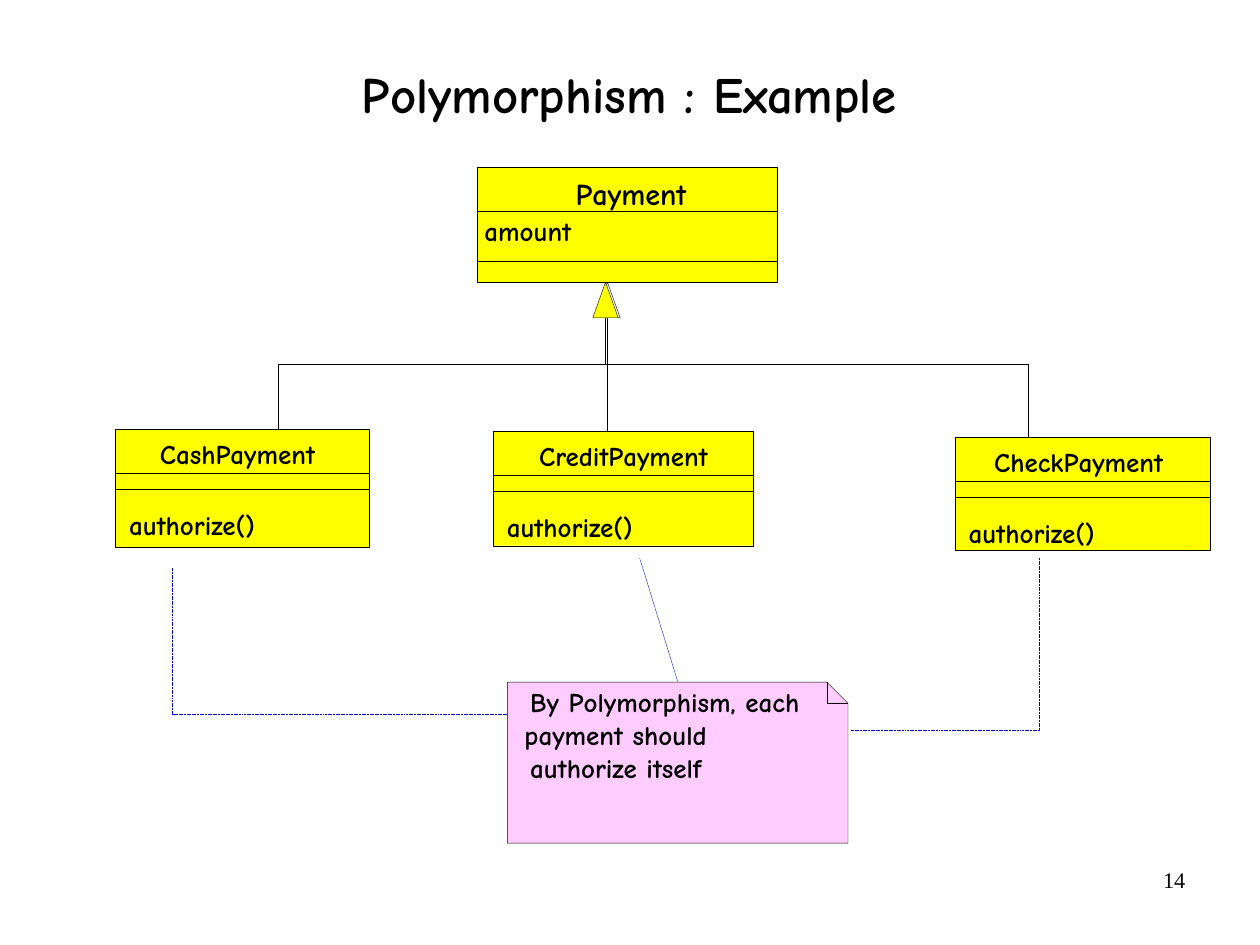
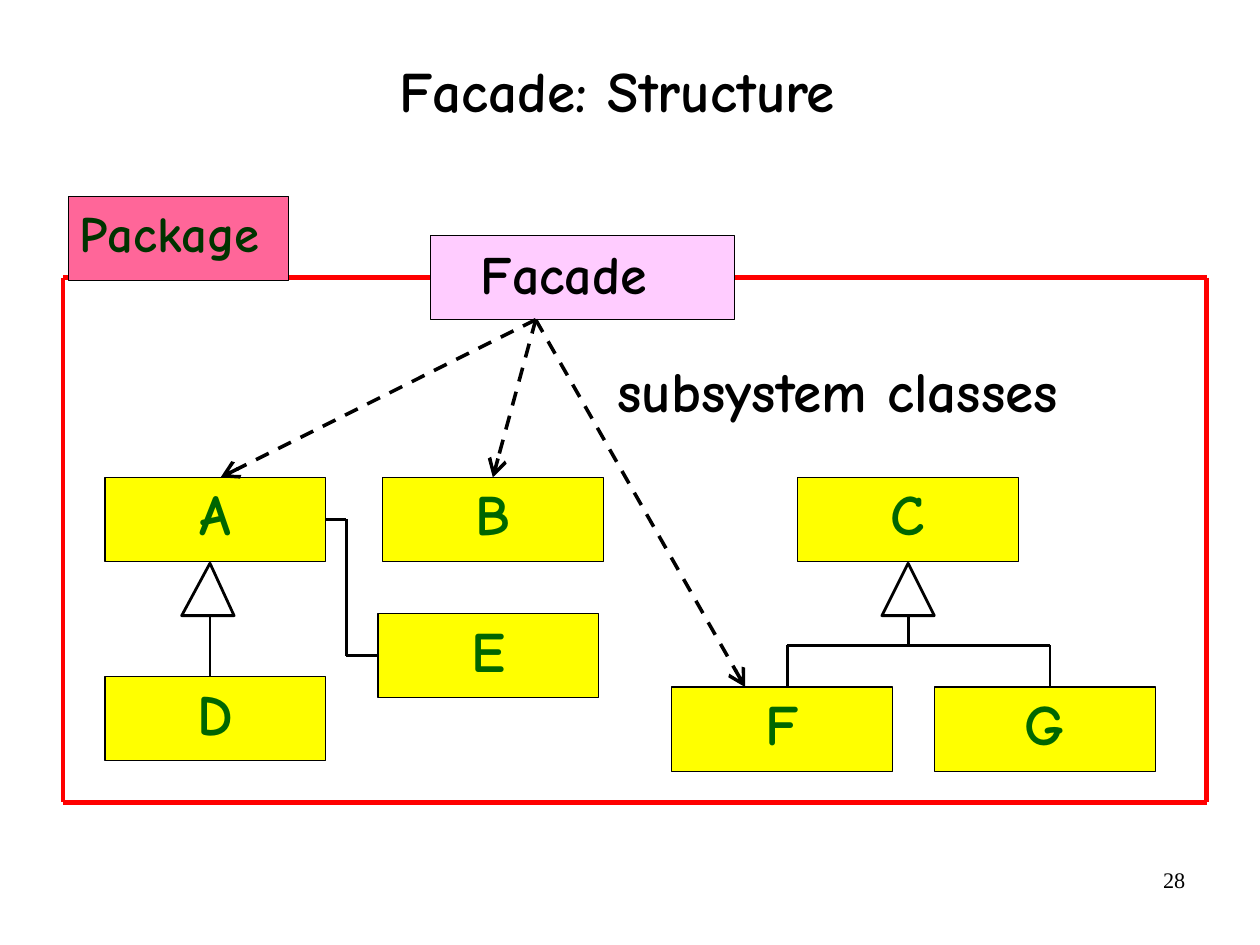
from typing import NamedTuple

from lxml import etree
from pptx import Presentation
from pptx.dml.color import RGBColor
from pptx.enum.dml import MSO_LINE
from pptx.enum.shapes import MSO_CONNECTOR, MSO_SHAPE
from pptx.enum.text import MSO_ANCHOR, PP_ALIGN
from pptx.oxml.ns import qn
from pptx.util import Pt

RECTANGLE = MSO_SHAPE.RECTANGLE
TRIANGLE = MSO_SHAPE.ISOSCELES_TRIANGLE
STRAIGHT = MSO_CONNECTOR.STRAIGHT
DASH, SHORT_DASH = MSO_LINE.DASH, MSO_LINE.SQUARE_DOT
LEFT, CENTER, RIGHT = PP_ALIGN.LEFT, PP_ALIGN.CENTER, PP_ALIGN.RIGHT
TOP, MIDDLE = MSO_ANCHOR.TOP, MSO_ANCHOR.MIDDLE
SIDE_TOP, SIDE_LEFT, SIDE_RIGHT = 0, 1, 3

BLACK = RGBColor(0x00, 0x00, 0x00)
WHITE = RGBColor(0xFF, 0xFF, 0xFF)
YELLOW = RGBColor(0xFF, 0xFF, 0x00)
PINK = RGBColor(0xFF, 0xCC, 0xFF)
ROSE = RGBColor(0xFF, 0x66, 0x99)
RED = RGBColor(0xFF, 0x00, 0x00)
BLUE = RGBColor(0x00, 0x00, 0xCC)
GREEN = RGBColor(0x00, 0x66, 0x00)
DARK_GREEN = RGBColor(0x00, 0x33, 0x00)

BODY_FONT = "Comic Neue"
NUMBER_FONT = "Times New Roman"
SLIDE_WIDTH, SLIDE_HEIGHT = Pt(793.75), Pt(595.25)
HAIRLINE = 0.25
UML_LINE = 1.75
MEMBER_SIZE = 17


class Side(NamedTuple):
    """The middle of one side of a rectangle."""
    shape: object
    site: int


# Text
def add_run(paragraph, text, size, color=BLACK, font=BODY_FONT, bold=True):
    run = paragraph.add_run()
    run.text = text
    run.font.name = font
    run.font.size = Pt(size)
    run.font.bold = bold
    run.font.color.rgb = color


def set_frame(frame, anchor, margins):
    frame.word_wrap = True
    frame.vertical_anchor = anchor
    left, top, right, bottom = margins
    frame.margin_left, frame.margin_top = Pt(left), Pt(top)
    frame.margin_right, frame.margin_bottom = Pt(right), Pt(bottom)


def add_label(slide, box, text, size, align=LEFT, anchor=TOP, spacing=1.0,
              margins=(0, 0, 0, 0), **run_style):
    label = slide.shapes.add_textbox(*map(Pt, box))
    set_frame(label.text_frame, anchor, margins)
    paragraph = label.text_frame.paragraphs[0]
    paragraph.alignment = align
    paragraph.line_spacing = spacing
    add_run(paragraph, text, size, **run_style)


# Shapes and lines
def style_shape(shape, fill, width, color=BLACK):
    shape.shadow.inherit = False
    if fill is None:
        shape.fill.background()
    else:
        shape.fill.solid()
        shape.fill.fore_color.rgb = fill
    shape.line.color.rgb = color
    shape.line.width = Pt(width)


def add_figure(slide, kind, box, fill, width):
    figure = slide.shapes.add_shape(kind, *map(Pt, box))
    style_shape(figure, fill, width)
    return figure


def add_outline(slide, points, fill=None, color=BLACK, close=False):
    corners = [(Pt(x), Pt(y)) for x, y in points]
    builder = slide.shapes.build_freeform(*corners[0])
    builder.add_line_segments(corners[1:], close=close)
    outline = builder.convert_to_shape()
    style_shape(outline, fill, HAIRLINE, color)
    return outline


def add_line(slide, start, end, width=HAIRLINE, color=BLACK, dash=None, arrow=False):
    """Each end is a point or a Side to join."""
    (x1, y1), (x2, y2) = ((0, 0) if isinstance(e, Side) else e for e in (start, end))
    connector = slide.shapes.add_connector(STRAIGHT, Pt(x1), Pt(y1), Pt(x2), Pt(y2))
    if isinstance(start, Side):
        connector.begin_connect(start.shape, start.site)
    if isinstance(end, Side):
        connector.end_connect(end.shape, end.site)
    connector.line.color.rgb = color
    connector.line.width = Pt(width)
    if dash is not None:
        connector.line.dash_style = dash
    properties = connector._element.spPr
    if arrow:
        etree.SubElement(properties.find(qn("a:ln")), qn("a:tailEnd"),
                         type="arrow", w="lg", len="lg")
    etree.SubElement(properties, qn("a:effectLst"))


# Parts shared by the slides
def add_slide(deck, number, title, title_box, title_size):
    slide = deck.slides.add_slide(deck.slide_layouts[6])
    add_label(slide, (568.8, 542, 185, 41), number, 14, align=RIGHT,
              margins=(7.2, 3.6, 7.2, 3.6), font=NUMBER_FONT, bold=False)
    add_label(slide, title_box, title, title_size, align=CENTER, anchor=MIDDLE,
              spacing=0.88)
    return slide


# Class diagram parts
def add_class(slide, box, name, name_indent, member, member_offset=(8.6, 50),
              dividers=(27.4, 37.4), name_size=MEMBER_SIZE):
    left, top, width, _ = box
    add_figure(slide, RECTANGLE, box, YELLOW, HAIRLINE)
    add_label(slide, (left + name_indent, top + 5, width - name_indent, 20.2),
              name, name_size)
    for offset in dividers:
        add_line(slide, (left, top + offset), (left + width, top + offset))
    indent, drop = member_offset
    add_label(slide, (left + indent, top + drop, width - indent, 20.2),
              member, MEMBER_SIZE)


def add_note(slide, left, top, width, height, lines):
    right, bottom, fold = left + width, top + height, 13.3
    note = add_outline(slide, [(left, top), (right - fold, top), (right, top + fold),
                               (right, bottom), (left, bottom)], PINK, close=True)
    add_outline(slide, [(right - fold, top), (right - fold, top + fold),
                        (right, top + fold)])
    frame = note.text_frame
    set_frame(frame, TOP, (10.8, 1.5, 0, 0))
    for index, (text, indent) in enumerate(lines):
        paragraph = frame.add_paragraph() if index else frame.paragraphs[0]
        paragraph._p.get_or_add_pPr().set("marL", str(Pt(indent)))
        paragraph.alignment = LEFT
        paragraph.line_spacing = Pt(20.9)
        add_run(paragraph, text, MEMBER_SIZE)


def add_block(slide, left, top, text, fill=YELLOW, width=139, size=36, color=GREEN,
              align=CENTER, anchor=MIDDLE, spacing=0.8, margins=(7.2, 3.6, 7.2, 3.6)):
    block = add_figure(slide, RECTANGLE, (left, top, width, 53), fill, 0.75)
    set_frame(block.text_frame, anchor, margins)
    paragraph = block.text_frame.paragraphs[0]
    paragraph.alignment = align
    paragraph.line_spacing = spacing
    add_run(paragraph, text, size, color)
    return block


def build_polymorphism(deck):
    slide = add_slide(deck, "14", "Polymorphism : Example", (58.3, 28.1, 676.8, 66.2), 32)

    # Payment and its three kinds
    for box, name, indent in (((310.7, 271.8, 164, 72), "CreditPayment", 29),
                              ((601.7, 275.5, 161, 71), "CheckPayment", 24.5),
                              ((72.7, 270.5, 160, 74), "CashPayment", 28)):
        add_class(slide, box, name, indent, "authorize()")
    add_class(slide, (300.7, 105.6, 188.8, 72.2), "Payment", 62, "amount",
              member_offset=(4.5, 29.7), dividers=(27.4, 58.7), name_size=19)

    # Note and its links to the three kinds
    add_note(slide, 319.6, 429.7, 214.6, 101.4,
             [("By Polymorphism, each", 3.6), ("payment should", 0),
              ("authorize itself", 3.6)])
    for corners in ([(536.4, 460), (655, 460), (655, 351.5)],
                    [(108.7, 358), (108.7, 450), (319.6, 450)]):
        link = add_outline(slide, corners, color=BLUE)
        link.line.dash_style = SHORT_DASH
    add_line(slide, (403, 351.5), (427, 429.5), color=BLUE, dash=SHORT_DASH)

    # Inheritance tree
    parent_y, bus_y, cash_x, check_x = 177.8, 229.6, 175, 648
    for stem_x, stem_bottom, fill in ((382.7, 271.4, WHITE), (381.5, bus_y, YELLOW)):
        add_line(slide, (stem_x, stem_bottom), (stem_x, parent_y))
        add_figure(slide, TRIANGLE, (stem_x - 8, parent_y, 16, 22.4), fill, HAIRLINE)
    add_line(slide, (cash_x, bus_y), (check_x, bus_y))
    add_line(slide, (check_x, 275.5), (check_x, bus_y))
    add_line(slide, (cash_x, 270.5), (cash_x, bus_y))


def build_facade(deck):
    slide = add_slide(deck, "28", "Facade: Structure", (50.6, 10.1, 676.8, 98.6), 36)

    # Facade and subsystem classes
    facade = add_block(slide, 271.2, 148.4, "Facade", PINK, width=191.6, size=34,
                       color=BLACK, align=LEFT, anchor=TOP, spacing=1.0,
                       margins=(31.7, 3.2, 0, 0))
    places = {"A": (66.2, 300.7), "B": (241, 300.7), "E": (238.2, 386.5),
              "D": (66.2, 426.2), "C": (502.4, 300.7), "F": (423.2, 432.8),
              "G": (588.8, 432.8)}
    blocks = {name: add_block(slide, *place, name) for name, place in places.items()}

    # F and G inherit from C, D from A
    add_figure(slide, TRIANGLE, (555.6, 354.8, 33, 33), None, UML_LINE)
    stem_x, bus_y, f_x, g_x, leaf_y = 572.1, 406.6, 496, 661.5, 432.8
    a_triangle = add_figure(slide, TRIANGLE, (114.5, 354.8, 33, 33), None, UML_LINE)
    a_triangle.adjustments[0] = 0.54
    for start, end in (((stem_x, 388), (stem_x, bus_y)), ((f_x, bus_y), (g_x, bus_y)),
                       ((f_x, bus_y), (f_x, leaf_y)), ((g_x, bus_y), (g_x, leaf_y)),
                       ((132.3, 387), (132.3, 426))):
        add_line(slide, start, end, UML_LINE)

    # A is linked with E
    upper, lower = (218.2, 327.2), (218.2, 413)
    add_line(slide, Side(blocks["A"], SIDE_RIGHT), upper, UML_LINE)
    add_line(slide, upper, lower, UML_LINE)
    add_line(slide, lower, Side(blocks["E"], SIDE_LEFT), UML_LINE)

    # Facade calls A, B and F
    for target in ((139, 300.7), Side(blocks["B"], SIDE_TOP), (469.4, leaf_y)):
        add_line(slide, (337.5, 201.4), target, 2.25, dash=DASH, arrow=True)

    # Package frame and tab
    left, top, right, bottom = 39.7, 174.9, 760.3, 505.4
    for start, end in ((Side(facade, SIDE_LEFT), (left, top)),
                       (Side(facade, SIDE_RIGHT), (right, top)),
                       ((left, top), (left, bottom)), ((right, top), (right, bottom)),
                       ((left, bottom), (right, bottom))):
        add_line(slide, start, end, 3, RED)
    add_label(slide, (381.3, 219.6, 310, 51), "subsystem classes", 36,
              margins=(7.9, 4.3, 7.9, 4.3))
    add_block(slide, 43, 123.6, "Package", ROSE, size=32, color=DARK_GREEN, align=LEFT)


def main():
    deck = Presentation()
    deck.slide_width = SLIDE_WIDTH
    deck.slide_height = SLIDE_HEIGHT
    build_polymorphism(deck)
    build_facade(deck)
    deck.save("out.pptx")


if __name__ == "__main__":
    main()
